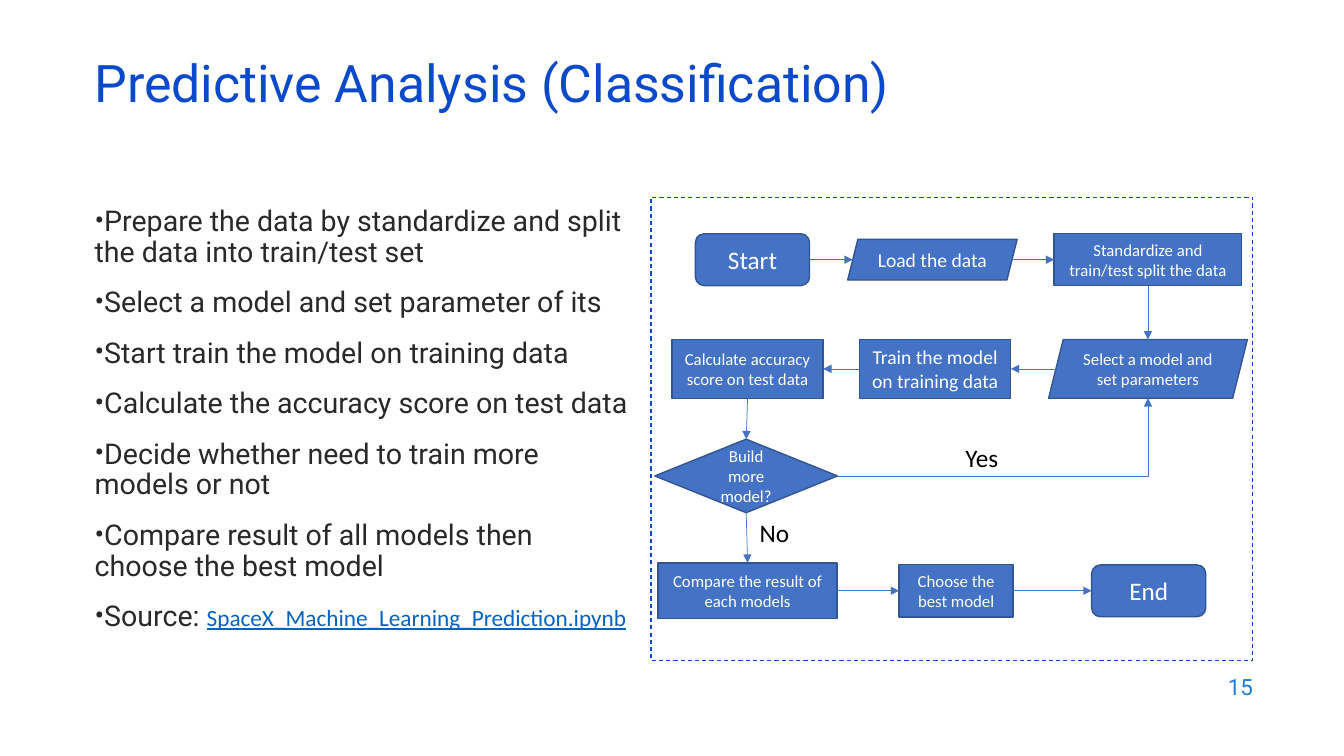
from dataclasses import dataclass

from lxml.etree import SubElement
from pptx import Presentation
from pptx.dml.color import RGBColor
from pptx.enum.dml import MSO_LINE
from pptx.enum.shapes import MSO_CONNECTOR, MSO_SHAPE
from pptx.enum.text import MSO_ANCHOR, PP_ALIGN
from pptx.oxml.ns import qn
from pptx.shapes.connector import Connector
from pptx.slide import Slide
from pptx.text.text import TextFrame, _Paragraph
from pptx.util import Pt

TITLE_BLUE = RGBColor(0x0B, 0x49, 0xCB)
NUMBER_BLUE = RGBColor(0x1C, 0x7D, 0xDB)
LINK_BLUE = RGBColor(0x05, 0x63, 0xC1)
STEP_FILL = RGBColor(0x44, 0x72, 0xC4)
STEP_LINE = RGBColor(0x32, 0x54, 0x91)
BODY_GREY = RGBColor(0x29, 0x29, 0x29)
WHITE = RGBColor(0xFF, 0xFF, 0xFF)
BLACK = RGBColor(0, 0, 0)

TOP_ROW, MODEL_ROW, DECISION_ROW, RESULT_ROW = 185.5, 263.5, 340, 422


@dataclass(frozen=True)
class Step:
    text: str
    center_x: float
    center_y: float
    width: float
    height: float
    size: float = 12
    preset: MSO_SHAPE = MSO_SHAPE.RECTANGLE

    def side(self, name: str) -> tuple[float, float]:
        """Return the middle of a side; a parallelogram's slanted sides lie further in."""
        slant = self.height / 8 if self.preset == MSO_SHAPE.PARALLELOGRAM else 0
        across = self.width / 2 - slant
        shift_x, shift_y = {
            "left": (-across, 0),
            "right": (across, 0),
            "top": (0, -self.height / 2),
            "bottom": (0, self.height / 2),
        }[name]
        return self.center_x + shift_x, self.center_y + shift_y


@dataclass(frozen=True)
class Arrow:
    source: str
    source_side: str
    target: str
    target_side: str
    bent: bool = False


@dataclass(frozen=True)
class Label:
    text: str
    left: float
    top: float
    width: float


STEPS = {
    "start": Step("Start", 537.5, TOP_ROW, 81.5, 37, 18, MSO_SHAPE.ROUNDED_RECTANGLE),
    "load": Step("Load the data", 666, TOP_ROW, 121, 29, 14, MSO_SHAPE.PARALLELOGRAM),
    "split": Step("Standardize and train/test split the data", 820, TOP_ROW, 134, 37),
    "select": Step("Select a model and set parameters", 820, MODEL_ROW, 142, 42,
                   preset=MSO_SHAPE.PARALLELOGRAM),
    "train": Step("Train the model on training data", 668, MODEL_ROW, 108, 42, 14),
    "score": Step("Calculate accuracy score on test data", 534, MODEL_ROW, 108, 42),
    "decide": Step("Build more model?", 533, DECISION_ROW, 130.5, 52.5,
                   preset=MSO_SHAPE.DIAMOND),
    "compare": Step("Compare the result of each models", 534, RESULT_ROW, 128, 40),
    "choose": Step("Choose the best model", 683, RESULT_ROW, 81.5, 37.5),
    "end": Step("End", 820.5, RESULT_ROW, 81.5, 37, 18, MSO_SHAPE.ROUNDED_RECTANGLE),
}

ARROWS = [
    Arrow("start", "right", "load", "left"),
    Arrow("load", "right", "split", "left"),
    Arrow("split", "bottom", "select", "top"),
    Arrow("select", "left", "train", "right"),
    Arrow("train", "left", "score", "right"),
    Arrow("score", "bottom", "decide", "top"),
    Arrow("decide", "right", "select", "bottom", bent=True),
    Arrow("decide", "bottom", "compare", "top"),
    Arrow("compare", "right", "choose", "left"),
    Arrow("choose", "right", "end", "left"),
]

LABELS = [Label("Yes", 682.5, 312.5, 38), Label("No", 535.5, 366, 36)]

BULLETS = [
    "Prepare the data by standardize and split the data into train/test set",
    "Select a model and set parameter of its",
    "Start train the model on training data",
    "Calculate the accuracy score on test data",
    "Decide whether need to train more models or not",
    "Compare result of all models then choose the best model",
    "Source: ",
]
NOTEBOOK = "SpaceX_Machine_Learning_Prediction.ipynb"


def write_text(paragraph: _Paragraph, text: str, *, size: float, color: RGBColor,
               font: str = "Calibri", align: PP_ALIGN = PP_ALIGN.LEFT,
               underline: bool = False) -> None:
    paragraph.alignment = align
    run = paragraph.add_run()
    run.text = text
    run.font.name = font
    run.font.size = Pt(size)
    run.font.color.rgb = color
    run.font.underline = underline


def add_text_frame(slide: Slide, left: float, top: float, width: float, height: float,
                   anchor: MSO_ANCHOR = MSO_ANCHOR.TOP, wrap: bool = True) -> TextFrame:
    box = slide.shapes.add_textbox(Pt(left), Pt(top), Pt(width), Pt(height))
    frame = box.text_frame
    frame.word_wrap = wrap
    frame.vertical_anchor = anchor
    return frame


def add_bullets(slide: Slide) -> None:
    frame = add_text_frame(slide, 60.5, 144, 395, 330.5)
    frame.margin_right = Pt(5)
    for index, text in enumerate(BULLETS):
        paragraph = frame.paragraphs[0] if index == 0 else frame.add_paragraph()
        properties = paragraph._p.get_or_add_pPr()
        properties.set("marL", "0")
        properties.set("indent", "0")
        SubElement(properties, qn("a:buFont")).set("typeface", "Roboto")
        SubElement(properties, qn("a:buChar")).set("char", "•")
        paragraph.line_spacing = 0.9
        paragraph.space_before = Pt(14 if index else 0)
        write_text(paragraph, text, size=20.4, color=BODY_GREY, font="Roboto")
    write_text(frame.paragraphs[-1], NOTEBOOK, size=16.6, color=LINK_BLUE, underline=True)


def add_chart_border(slide: Slide) -> None:
    border = slide.shapes.add_shape(MSO_SHAPE.RECTANGLE, Pt(465), Pt(141), Pt(430), Pt(331))
    border.shadow.inherit = False
    border.fill.background()
    border.line.color.rgb = TITLE_BLUE
    border.line.width = Pt(0.75)
    border.line.dash_style = MSO_LINE.DASH


def add_step(slide: Slide, step: Step) -> None:
    left, top = step.center_x - step.width / 2, step.center_y - step.height / 2
    shape = slide.shapes.add_shape(step.preset, Pt(left), Pt(top),
                                   Pt(step.width), Pt(step.height))
    shape.shadow.inherit = False
    shape.fill.solid()
    shape.fill.fore_color.rgb = STEP_FILL
    shape.line.color.rgb = STEP_LINE
    shape.line.width = Pt(1)
    frame = shape.text_frame
    frame.word_wrap = True
    frame.vertical_anchor = MSO_ANCHOR.MIDDLE
    write_text(frame.paragraphs[0], step.text, size=step.size, color=WHITE,
               align=PP_ALIGN.CENTER)


def add_arrow(slide: Slide, arrow: Arrow) -> Connector:
    begin = STEPS[arrow.source].side(arrow.source_side)
    end = STEPS[arrow.target].side(arrow.target_side)
    kind = MSO_CONNECTOR.ELBOW if arrow.bent else MSO_CONNECTOR.STRAIGHT
    connector = slide.shapes.add_connector(kind, *(Pt(value) for value in begin + end))
    connector.line.color.rgb = STEP_FILL
    connector.line.width = Pt(0.5)
    properties = connector._element.spPr
    if arrow.bent:
        properties.find(qn("a:prstGeom")).set("prst", "bentConnector2")
    SubElement(properties.find(qn("a:ln")), qn("a:tailEnd")).set("type", "triangle")
    SubElement(properties, qn("a:effectLst"))
    return connector


def main() -> None:
    presentation = Presentation()
    presentation.slide_width, presentation.slide_height = Pt(960), Pt(540)
    slide = presentation.slides.add_slide(presentation.slide_layouts[6])

    title = add_text_frame(slide, 60.5, 42.5, 828, 43, MSO_ANCHOR.MIDDLE).paragraphs[0]
    title.line_spacing = 0.7
    write_text(title, "Predictive Analysis (Classification)", size=37,
               color=TITLE_BLUE, font="Roboto")
    add_bullets(slide)
    add_chart_border(slide)
    for step in STEPS.values():
        add_step(slide, step)
    for arrow in ARROWS:
        add_arrow(slide, arrow)
    for label in LABELS:
        frame = add_text_frame(slide, label.left, label.top, label.width, 29, wrap=False)
        write_text(frame.paragraphs[0], label.text, size=18, color=BLACK)
    number = add_text_frame(slide, 686, 474.5, 216, 32, MSO_ANCHOR.MIDDLE).paragraphs[0]
    write_text(number, "15", size=16, color=NUMBER_BLUE, font="Roboto", align=PP_ALIGN.RIGHT)

    presentation.save("out.pptx")


if __name__ == "__main__":
    main()
